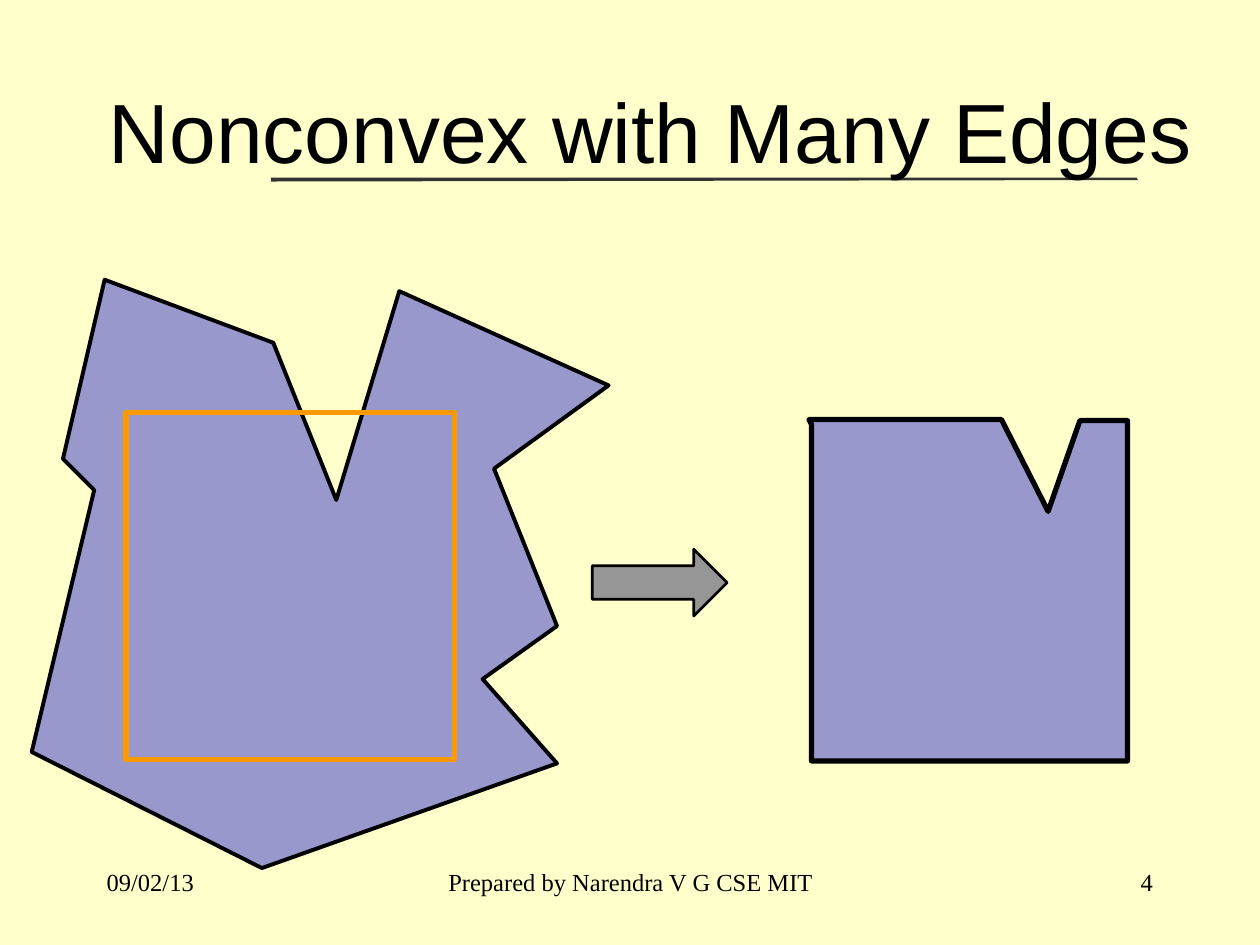
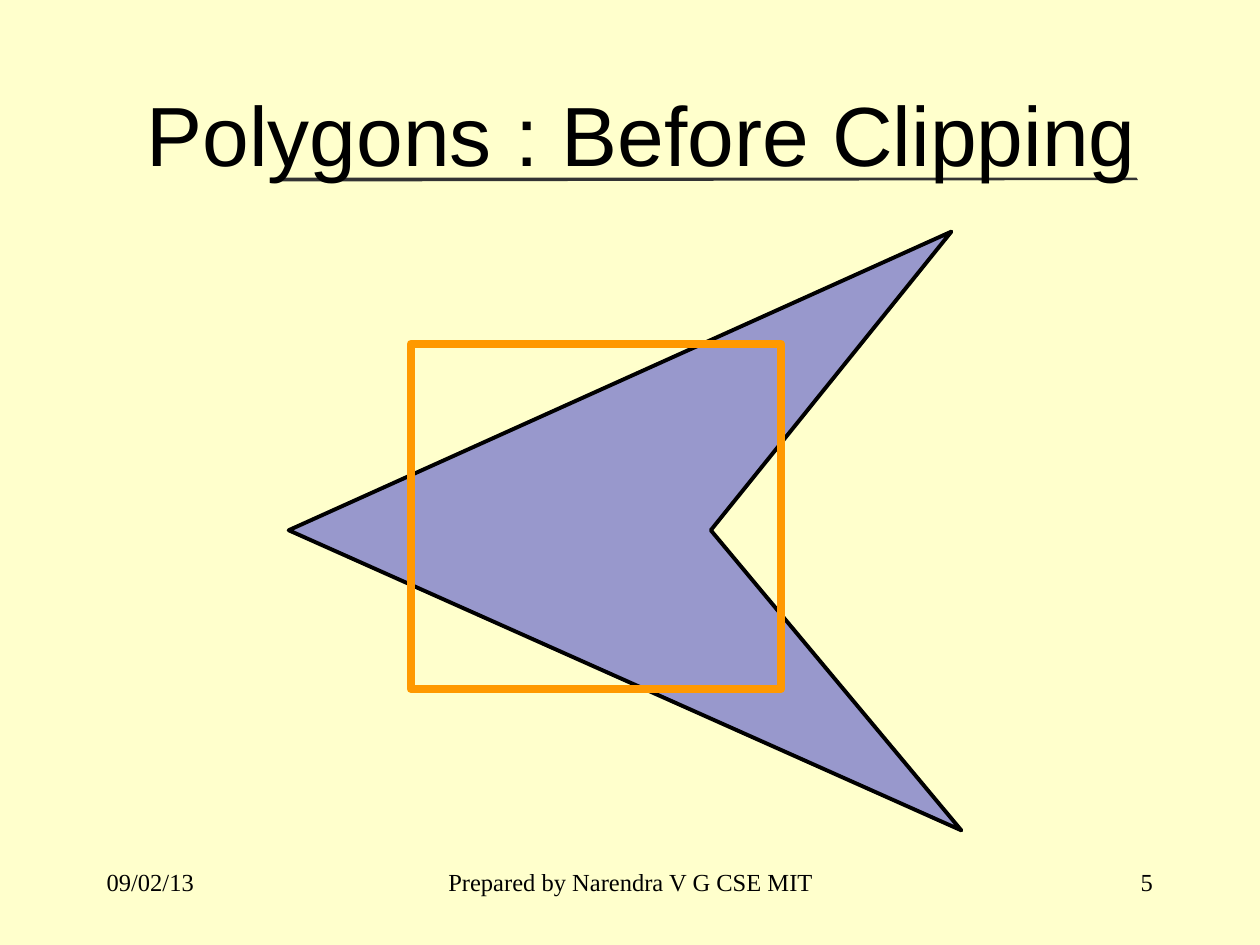
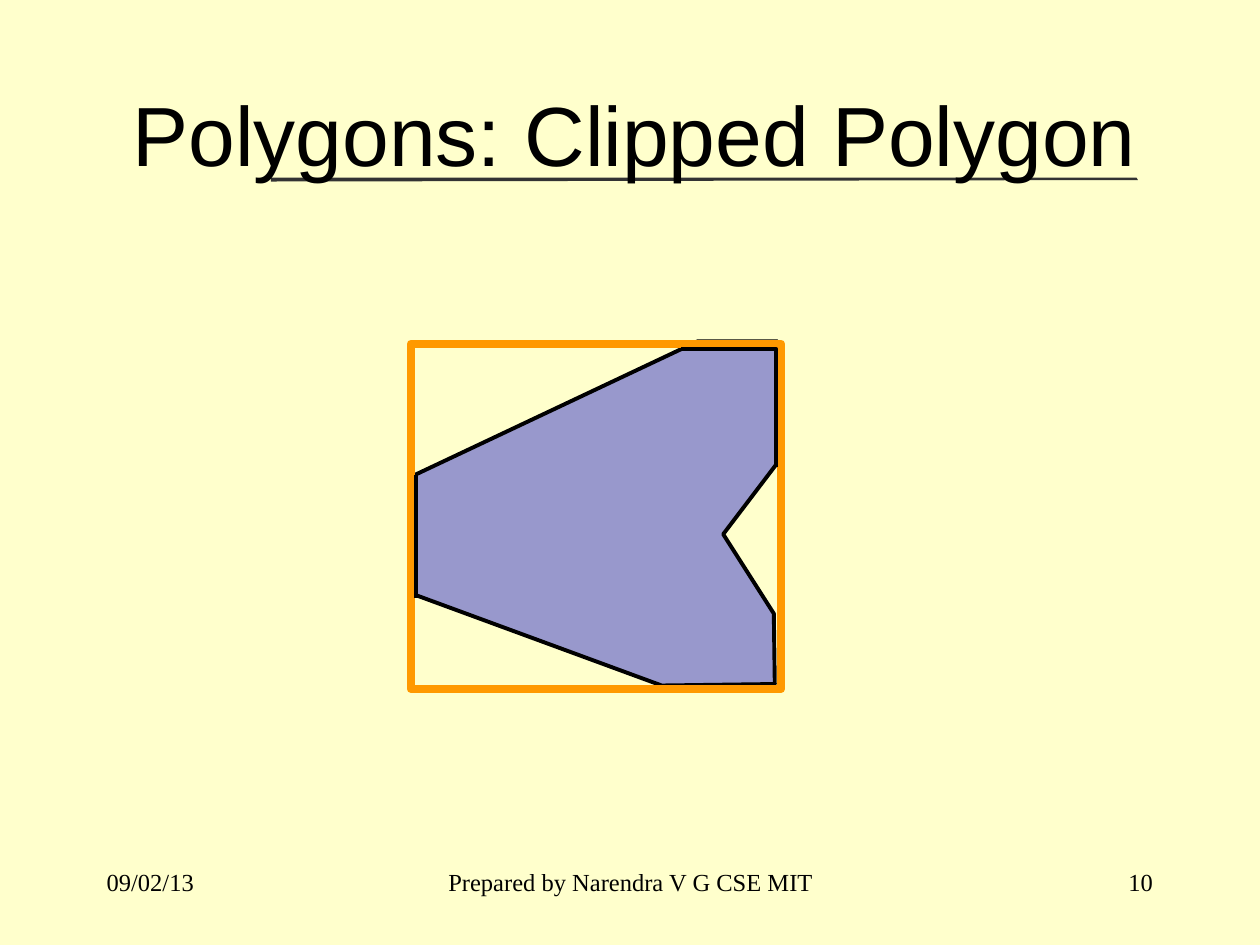
from lxml.etree import SubElement
from pptx import Presentation
from pptx.dml.color import RGBColor
from pptx.enum.shapes import MSO_CONNECTOR, MSO_SHAPE
from pptx.enum.text import MSO_ANCHOR, PP_ALIGN
from pptx.oxml.ns import qn
from pptx.util import Cm, Pt

hues = {"page": "FFFFCC", "ink": "000000", "rule": "333333",
        "poly": "3333CC", "clip": "FF9900", "arrow": "969696"}
tint = {name: RGBColor.from_string(code) for name, code in hues.items()}


def write(slide, text, box, align, face, size, anchor=MSO_ANCHOR.TOP):
    frame = slide.shapes.add_textbox(*map(Cm, box)).text_frame
    frame.word_wrap = True
    frame.vertical_anchor = anchor
    frame.text = text
    par = frame.paragraphs[0]
    par.alignment = align
    font = par.runs[0].font
    font.name, font.size = face, Pt(size)
    font.color.rgb = tint["ink"]


def trace(slide, points, fill=None, alpha=100, width=0, close=True):
    dots = [(Cm(x), Cm(y)) for x, y in points]
    path = slide.shapes.build_freeform(*dots[0])
    path.add_line_segments(dots[1:], close=close)
    shape = path.convert_to_shape()
    shape.shadow.inherit = False
    if fill:
        shape.fill.solid()
        shape.fill.fore_color.rgb = tint[fill]
        if alpha < 100:
            color = shape.fill._xPr.find(".//" + qn("a:srgbClr"))
            SubElement(color, qn("a:alpha")).set("val", str(alpha * 1000))
    else:
        shape.fill.background()
    if width:
        shape.line.width = Pt(width)
        shape.line.color.rgb = tint["ink"]
        SubElement(shape.line._get_or_add_ln(), qn("a:round"))
    else:
        shape.line.fill.background()


prs = Presentation()
prs.slide_width, prs.slide_height = Cm(25.4), Cm(19.05)
back = prs.slide_master.background.fill
back.solid()
back.fore_color.rgb = tint["page"]

rule = [(5.46, 3.58), (22.91, 3.58), (22.94, 3.63), (5.46, 3.66)]
star = [(6.78, 10.08), (5.51, 6.91), (2.11, 5.64), (1.27, 9.25), (1.9, 9.88),
        (0.64, 15.16), (5.28, 17.5), (11.23, 15.39), (9.73, 13.69),
        (11.23, 12.62), (9.96, 9.45), (12.27, 7.77), (8.05, 5.87)]
notch = [(16.36, 8.56), (16.36, 15.34), (22.73, 15.34), (22.73, 8.48),
         (21.77, 8.48), (21.13, 10.31), (20.19, 8.46), (16.31, 8.46)]
dart = [(5.82, 10.69), (19.18, 4.67), (14.33, 10.69), (19.38, 16.74)]
cut = [(15.67, 6.88), (14.07, 6.88), (8.31, 9.6), (8.25, 10.87),
       (8.28, 11.96), (13.34, 13.82), (15.62, 13.79), (15.6, 12.37),
       (14.58, 10.77), (15.72, 9.27)]
corner = [(13.72, 7.04), (15.65, 7.04), (15.65, 9.42)]

wide = (1.65, 1.02, 22.63, 3.18)
norm = (1.9, 1.09, 21.26, 3.18)
pane = (8.28, 6.93, 7.47, 6.96)
pages = [
    ("Nonconvex with Many Edges", wide, "4", star, (2.54, 8.31, 6.63, 7.01), 3),
    ("Polygons : Before Clipping", norm, "5", dart, pane, 4.5),
    ("Polygons: Clipped Polygon", norm, "10", cut, pane, 4.5),
]

slides = []
for title, place, number, points, window, width in pages:
    slide = prs.slides.add_slide(prs.slide_layouts[6])
    slides.append(slide)
    trace(slide, rule, "rule")
    for text, left, span, align in [
        ("09/02/13", 1.9, 5.28, PP_ALIGN.LEFT),
        ("Prepared by Narendra V G CSE MIT", 8.69, 8.05, PP_ALIGN.CENTER),
        (number, 18.21, 5.28, PP_ALIGN.RIGHT),
    ]:
        write(slide, text, (left, 17.35, span, 1.27), align, "Times New Roman", 14)
    write(slide, title, place, PP_ALIGN.RIGHT, "Arial", 48, MSO_ANCHOR.MIDDLE)
    trace(slide, points, "poly", 50, 2.25)
    clip = slide.shapes.add_shape(MSO_SHAPE.RECTANGLE, *map(Cm, window))
    clip.shadow.inherit = False
    clip.fill.background()
    clip.line.color.rgb = tint["clip"]
    clip.line.width = Pt(width)

first, _, last = slides
trace(first, notch, "poly", 50, 3)
arrow = first.shapes.add_shape(MSO_SHAPE.RIGHT_ARROW, Cm(11.94), Cm(11.07), Cm(2.72), Cm(1.35))
arrow.shadow.inherit = False
arrow.fill.solid()
arrow.fill.fore_color.rgb = tint["arrow"]
arrow.line.color.rgb = tint["ink"]
arrow.line.width = Pt(1.5)

trace(last, corner, width=2.25, close=False)
edge = last.shapes.add_connector(MSO_CONNECTOR.STRAIGHT, Cm(8.38), Cm(9.58), Cm(8.38), Cm(12.06))
edge.line.color.rgb = tint["ink"]
edge.line.width = Pt(2.25)
SubElement(edge._element.spPr, qn("a:effectLst"))

prs.save("out.pptx")
